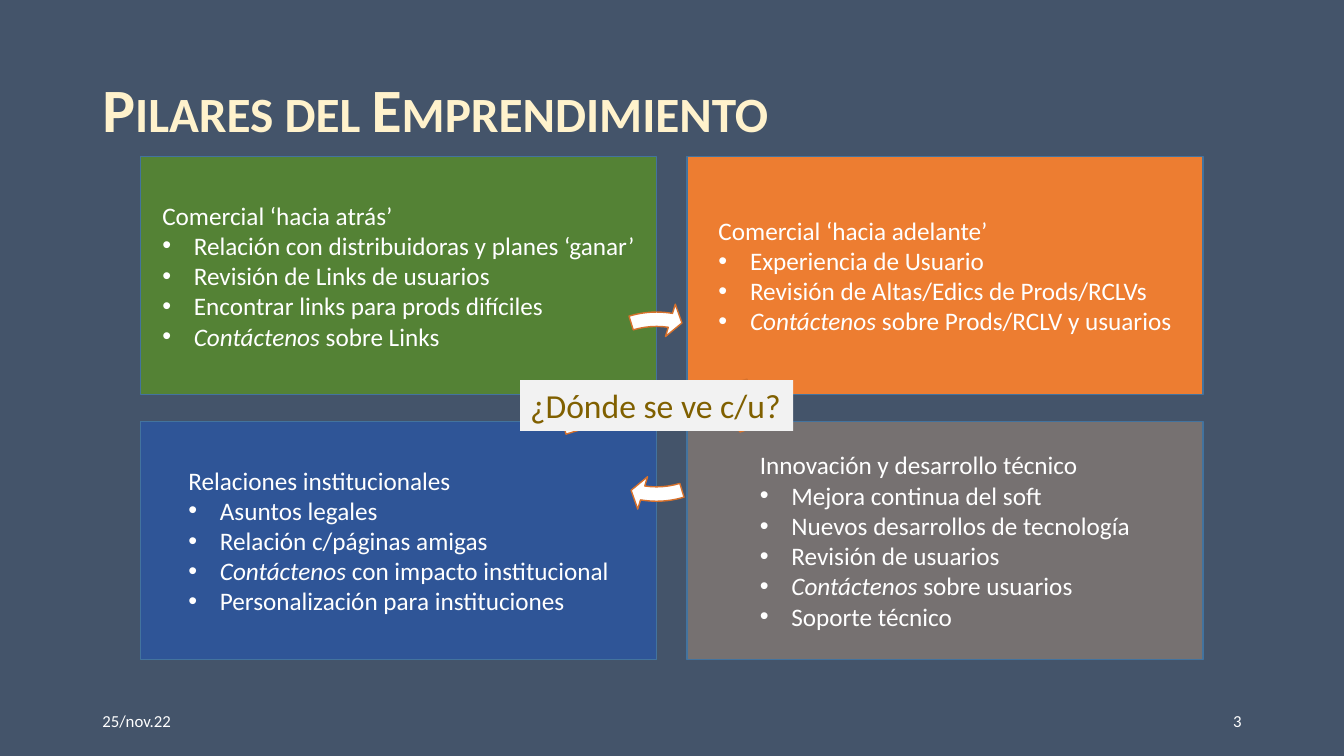
from dataclasses import dataclass

from lxml import etree
from pptx import Presentation
from pptx import util as u
from pptx.dml import color
from pptx.enum import shapes, text
from pptx.oxml import ns

FONT = "Calibri"
WHITE = "FFFFFF"
ITALIC_WORD = "Contáctenos"
INDENT = 22.5


@dataclass
class Pillar:
    column: int
    row: int
    fill: str
    heading: str
    items: list[str]


@dataclass
class Label:
    wording: str
    left: float
    top: float
    width: float
    height: float
    size: float
    colour: str
    alignment: text.PP_ALIGN = text.PP_ALIGN.LEFT
    anchor: text.MSO_ANCHOR = text.MSO_ANCHOR.MIDDLE
    fill: str = ""


PILLARS = [
    Pillar(0, 0, "548235", "Comercial ‘hacia atrás’", [
        "Relación con distribuidoras y planes ‘ganar’",
        "Revisión de Links de usuarios",
        "Encontrar links para prods difíciles",
        "Contáctenos sobre Links"]),
    Pillar(1, 0, "ED7D31", "Comercial ‘hacia adelante’", [
        "Experiencia de Usuario",
        "Revisión de Altas/Edics de Prods/RCLVs",
        "Contáctenos sobre Prods/RCLV y usuarios"]),
    Pillar(0, 1, "2F5597", "Relaciones institucionales", [
        "Asuntos legales",
        "Relación c/páginas amigas",
        "Contáctenos con impacto institucional",
        "Personalización para instituciones"]),
    Pillar(1, 1, "767171", "Innovación y desarrollo técnico", [
        "Mejora continua del soft",
        "Nuevos desarrollos de tecnología",
        "Revisión de usuarios",
        "Contáctenos sobre usuarios",
        "Soporte técnico"]),
]

LABELS = [
    Label("25/nov.22", 66, 500.5, 216, 28.75, 12, WHITE),
    Label("3", 678, 500.5, 216, 28.75, 12, WHITE, text.PP_ALIGN.RIGHT),
    Label("¿Dónde se ve c/u?", 371.5, 271.5, 195, 36.35, 24, "806000",
          anchor=text.MSO_ANCHOR.TOP, fill="F2F2F2"),
]


def rgb(colour: str) -> color.RGBColor:
    return color.RGBColor.from_string(colour)


def place(shape, left: float, top: float, width: float, height: float) -> None:
    shape.left, shape.top = u.Pt(left), u.Pt(top)
    shape.width, shape.height = u.Pt(width), u.Pt(height)


def format_runs(paragraph, size: float, colour: str) -> None:
    for run in paragraph.runs:
        run.font.name = FONT
        run.font.size = u.Pt(size)
        run.font.color.rgb = rgb(colour)


def add_bullet(paragraph) -> None:
    properties = paragraph._p.get_or_add_pPr()
    properties.set("marL", str(u.Pt(INDENT)))
    properties.set("indent", str(-u.Pt(INDENT)))
    etree.SubElement(properties, ns.qn("a:buFont")).set("typeface", "Arial")
    etree.SubElement(properties, ns.qn("a:buChar")).set("char", "•")


def add_filled(slide, kind: shapes.MSO_SHAPE, box: tuple, fill: str, line: str):
    shape = slide.shapes.add_shape(kind, *(u.Pt(length) for length in box))
    shape.shadow.inherit = False
    shape.fill.solid()
    shape.fill.fore_color.rgb = rgb(fill)
    shape.line.color.rgb = rgb(line)
    shape.line.width = u.Pt(1)
    return shape


def add_title(slide, wording: str) -> None:
    title = slide.shapes.title
    place(title, 66, 53.25, 828, 55.5)
    frame = title.text_frame
    frame.text = wording
    frame.vertical_anchor = text.MSO_ANCHOR.TOP
    frame.auto_size = text.MSO_AUTO_SIZE.SHAPE_TO_FIT_TEXT
    paragraph = frame.paragraphs[0]
    paragraph.alignment = text.PP_ALIGN.LEFT
    paragraph.line_spacing = 0.9
    format_runs(paragraph, 44, "FFF2CC")
    run = paragraph.runs[0]
    run.font.bold = True
    run._r.get_or_add_rPr().set("cap", "small")


def add_pillar(slide, pillar: Pillar) -> None:
    box = (100.5 + 390.25 * pillar.column, 111.75 + 189.25 * pillar.row, 368.5, 170)
    shape = add_filled(slide, shapes.MSO_SHAPE.RECTANGLE, box, pillar.fill, "43739E")
    frame = shape.text_frame
    frame.word_wrap = True
    frame.vertical_anchor = text.MSO_ANCHOR.MIDDLE
    frame.margin_left = frame.margin_right = u.Pt(14.4)
    frame._txBody.bodyPr.set("anchorCtr", "1")
    frame.text = "\n".join([pillar.heading, *pillar.items])
    for index, paragraph in enumerate(frame.paragraphs):
        paragraph.alignment = text.PP_ALIGN.LEFT
        if index > 0:
            add_bullet(paragraph)
        if paragraph.text.startswith(ITALIC_WORD):
            remainder = paragraph.text.removeprefix(ITALIC_WORD)
            paragraph.runs[0].text = ITALIC_WORD
            paragraph.runs[0].font.italic = True
            paragraph.add_run().text = remainder
        format_runs(paragraph, 18, WHITE)


def add_cycle_arrow(slide, quarter: int) -> None:
    box = (394.5, 216, 149, 149)
    arrow = add_filled(slide, shapes.MSO_SHAPE.CIRCULAR_ARROW, box, WHITE, "D7712C")
    turn, full_turn = 54 * quarter, 216
    values = (0.069, 4.657, 5.48 + turn, (205.863 + turn) % full_turn, 0.081)
    for index, value in enumerate(values):
        arrow.adjustments[index] = value


def add_label(slide, label: Label) -> None:
    box = slide.shapes.add_textbox(0, 0, 0, 0)
    place(box, label.left, label.top, label.width, label.height)
    frame = box.text_frame
    frame.word_wrap = not label.fill
    frame.vertical_anchor = label.anchor
    frame.text = label.wording
    frame.paragraphs[0].alignment = label.alignment
    format_runs(frame.paragraphs[0], label.size, label.colour)
    if label.fill:
        frame.auto_size = text.MSO_AUTO_SIZE.SHAPE_TO_FIT_TEXT
        box.fill.solid()
        box.fill.fore_color.rgb = rgb(label.fill)


presentation = Presentation()
presentation.slide_width, presentation.slide_height = u.Pt(960), u.Pt(540)
slide = presentation.slides.add_slide(presentation.slide_layouts.get_by_name("Title Only"))
slide.background.fill.solid()
slide.background.fill.fore_color.rgb = rgb("44546A")

add_title(slide, "Pilares del Emprendimiento")
for pillar in PILLARS:
    add_pillar(slide, pillar)
for quarter in range(4):
    add_cycle_arrow(slide, quarter)
for label in LABELS:
    add_label(slide, label)

presentation.save("out.pptx")
